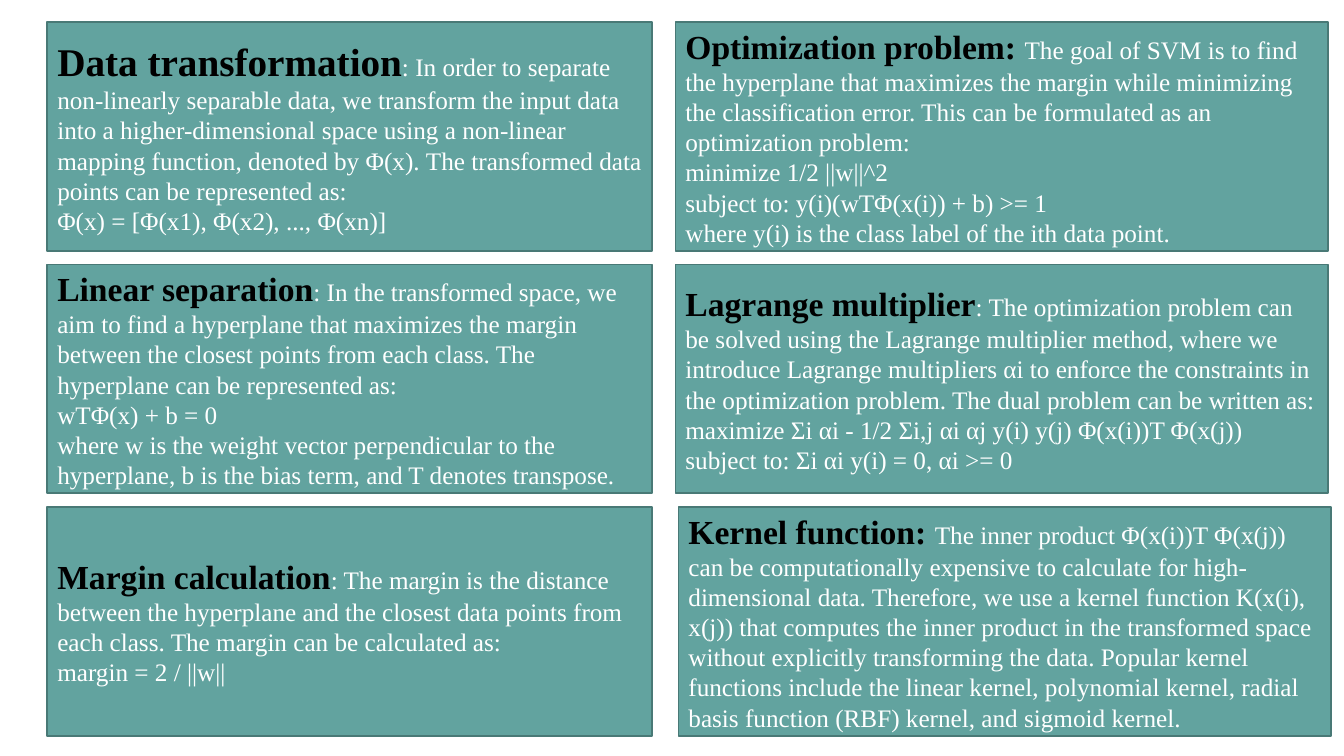
from pptx import Presentation
from pptx.dml.color import RGBColor
from pptx.enum.shapes import MSO_SHAPE
from pptx.enum.text import MSO_ANCHOR, PP_ALIGN
from pptx.util import Inches, Pt

# Content: columns of cards, each (heading, heading size, body, following lines)
COLUMNS = [
    [
        ("Data transformation", 28,
         ": In order to separate non-linearly separable data, we transform the input data "
         "into a higher-dimensional space using a non-linear mapping function, denoted by "
         "Φ(x). The transformed data points can be represented as:",
         ["Φ(x) = [Φ(x1), Φ(x2), ..., Φ(xn)]"]),
        ("Linear separation", 24,
         ": In the transformed space, we aim to find a hyperplane that maximizes the margin "
         "between the closest points from each class. The hyperplane can be represented as:",
         ["wTΦ(x) + b = 0",
          "where w is the weight vector perpendicular to the hyperplane, b is the bias term, "
          "and T denotes transpose."]),
        ("Margin calculation", 24,
         ": The margin is the distance between the hyperplane and the closest data points "
         "from each class. The margin can be calculated as:",
         ["margin = 2 / ||w||"]),
    ],
    [
        ("Optimization problem: ", 24,
         "The goal of SVM is to find the hyperplane that maximizes the margin while "
         "minimizing the classification error. This can be formulated as an optimization "
         "problem:",
         ["minimize 1/2 ||w||^2",
          "subject to: y(i)(wTΦ(x(i)) + b) >= 1",
          "where y(i) is the class label of the ith data point."]),
        ("Lagrange multiplier", 24,
         ": The optimization problem can be solved using the Lagrange multiplier method, "
         "where we introduce Lagrange multipliers αi to enforce the constraints in the "
         "optimization problem. The dual problem can be written as:",
         ["maximize Σi αi - 1/2 Σi,j αi αj y(i) y(j) Φ(x(i))T Φ(x(j))",
          "subject to: Σi αi y(i) = 0, αi >= 0"]),
        ("Kernel function: ", 24,
         "The inner product Φ(x(i))T Φ(x(j)) can be computationally expensive to calculate "
         "for high-dimensional data. Therefore, we use a kernel function K(x(i), x(j)) that "
         "computes the inner product in the transformed space without explicitly "
         "transforming the data. Popular kernel functions include the linear kernel, "
         "polynomial kernel, radial basis function (RBF) kernel, and sigmoid kernel.",
         []),
    ],
]
COLORS = {"card": "62A39F", "border": "497976", "heading": "000000", "body": "FFFFFF"}
FONT = "Times New Roman"
BODY_SIZE = 18

# Grid, in inches
SLIDE_WIDTH, SLIDE_HEIGHT = 13.33, 7.5
COLUMN_SPANS = [(0.47, 6), (6.7, 6.47)]
GRID_TOP, GRID_BOTTOM = 0.22, 7.3
CARD_HEIGHT = 2.27
ROW_PITCH = (GRID_BOTTOM - GRID_TOP - CARD_HEIGHT) / 2
LEFT_SHIFTS = {(1, 2): 0.03}  # the kernel card sits slightly to the right


def add_run(paragraph, text, size, color, bold=False):
    run = paragraph.add_run()
    run.text = text
    run.font.name = FONT
    run.font.size = Pt(size)
    run.font.bold = bold
    run.font.color.rgb = RGBColor.from_string(COLORS[color])


def add_card(slide, left, top, width, card):
    heading, heading_size, body, lines = card
    shape = slide.shapes.add_shape(MSO_SHAPE.RECTANGLE, Inches(left), Inches(top),
                                   Inches(width), Inches(CARD_HEIGHT))
    shape.shadow.inherit = False
    shape.fill.solid()
    shape.fill.fore_color.rgb = RGBColor.from_string(COLORS["card"])
    shape.line.color.rgb = RGBColor.from_string(COLORS["border"])
    shape.line.width = Pt(1.25)

    text_frame = shape.text_frame
    text_frame.word_wrap = True
    text_frame.vertical_anchor = MSO_ANCHOR.MIDDLE
    add_run(text_frame.paragraphs[0], heading, heading_size, "heading", bold=True)
    add_run(text_frame.paragraphs[0], body, BODY_SIZE, "body")
    for line in lines:
        add_run(text_frame.add_paragraph(), line, BODY_SIZE, "body")
    for paragraph in text_frame.paragraphs:
        paragraph.alignment = PP_ALIGN.LEFT


def main():
    presentation = Presentation()
    presentation.slide_width = Inches(SLIDE_WIDTH)
    presentation.slide_height = Inches(SLIDE_HEIGHT)
    slide = presentation.slides.add_slide(presentation.slide_layouts[6])

    # Cards, column by column
    for column, ((left, width), cards) in enumerate(zip(COLUMN_SPANS, COLUMNS)):
        for row, card in enumerate(cards):
            shift = LEFT_SHIFTS.get((column, row), 0)
            add_card(slide, left + shift, GRID_TOP + row * ROW_PITCH, width, card)

    presentation.save("out.pptx")


if __name__ == "__main__":
    main()
